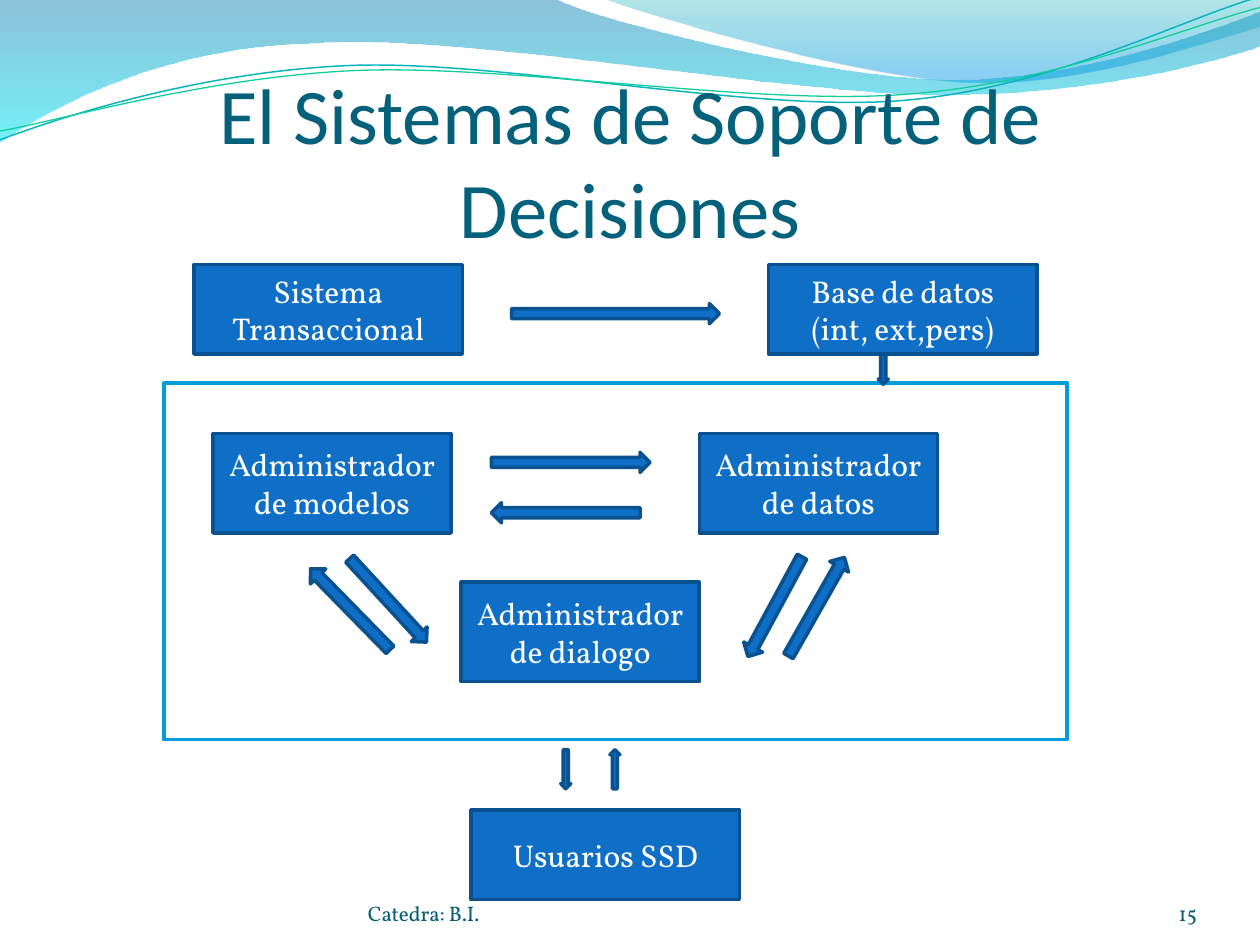
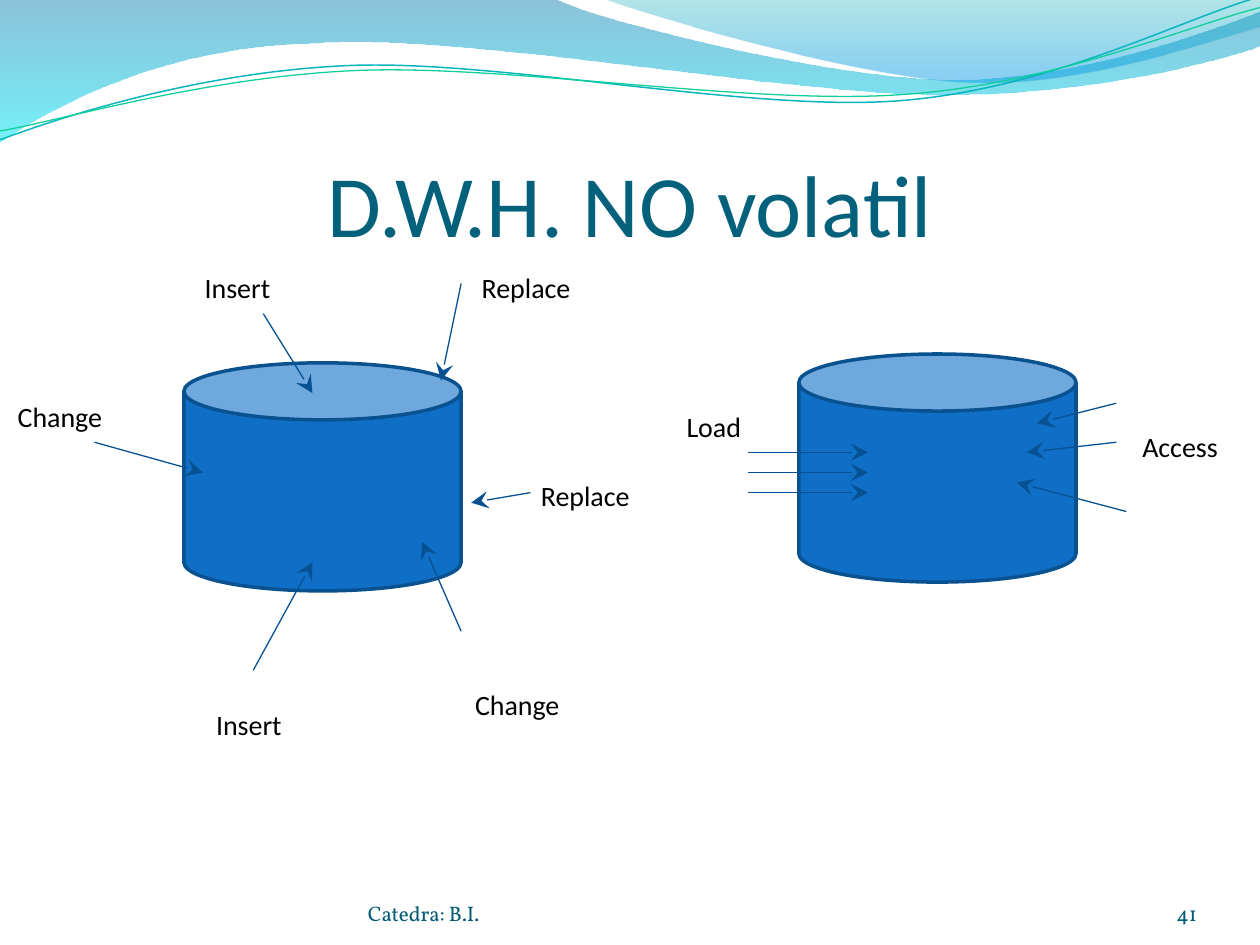
from math import cos, radians, sin

from lxml import etree
from pptx import Presentation
from pptx.dml.color import RGBColor
from pptx.enum.shapes import MSO_CONNECTOR, MSO_SHAPE
from pptx.enum.text import MSO_ANCHOR, PP_ALIGN
from pptx.oxml.ns import qn
from pptx.util import Inches, Pt

RECTANGLE, CAN = MSO_SHAPE.RECTANGLE, MSO_SHAPE.CAN
RIGHT, LEFT = MSO_SHAPE.RIGHT_ARROW, MSO_SHAPE.LEFT_ARROW
UP, DOWN = MSO_SHAPE.UP_ARROW, MSO_SHAPE.DOWN_ARROW
TOP, MIDDLE, BOTTOM = MSO_ANCHOR.TOP, MSO_ANCHOR.MIDDLE, MSO_ANCHOR.BOTTOM
ALIGN_LEFT, ALIGN_RIGHT, CENTER = PP_ALIGN.LEFT, PP_ALIGN.RIGHT, PP_ALIGN.CENTER
STRAIGHT = MSO_CONNECTOR.STRAIGHT

HEADING_FONT, BODY_FONT = "Calibri", "Vollkorn"
BLUE, DARK_BLUE, FRAME_BLUE = "0F6FC6", "0A5190", "009DD9"
TITLE_TEAL, FOOTER_TEAL, POINTER_BLUE = "04617B", "035C75", "075192"
WHITE, BLACK = "FFFFFF", "000000"
INSETS = (0.1, 0.05, 0.1, 0.05)

# Wave outlines: one point is a straight segment, three are a Bézier curve.
# Gradient stops: position %, colour, opacity %.
WAVE_BANDS = [
    ((0, 0), [[(4.4, -0.01)],
              [(4.76, 0.17), (6.64, 0.63), (7.58, 0.63)],
              [(8.53, 0.63), (9.58, 0.26), (10, 0.09)],
              [(10.01, 0.36)],
              [(9.83, 0.44), (8.7, 0.76), (7.46, 0.75)],
              [(6.22, 0.75), (3.82, 0.28), (2.57, 0.34)],
              [(1.29, 0.36), (0.46, 0.83), (-0.01, 1.13)],
              [(0, 0)]],
     [(0, "0079AD", 45), (100, "00E9F7", 55)]),
    ((4.79, -0.01), [[(5.09, 0.11), (6.82, 0.62), (7.69, 0.65)],
                     [(8.56, 0.69), (9.61, 0.32), (10, 0.21)],
                     [(10, 0)],
                     [(4.79, -0.01)]],
     [(0, "00ABB4", 30), (80, "0099E4", 45), (100, "0099E4", 45)]),
]
STRAND_TILT = -2.7
STRANDS = [
    ((0, 1.11), [[(0.48, 0.93), (1.58, 0.57), (2.77, 0.52)],
                 [(3.95, 0.47), (5.93, 0.89), (7.13, 0.8)],
                 [(8.33, 0.71), (9.38, 0.15), (9.98, -0.02)]],
     (4.99, 0.57), "09B6BE", 0.85),
    ((0, 1.04), [[(0.47, 0.96), (1.64, 0.61), (2.83, 0.56)],
                 [(4.03, 0.51), (5.97, 0.84), (7.17, 0.75)],
                 [(8.36, 0.67), (9.41, 0.21), (10, 0.06)]],
     (5, 0.59), "10CF9B", 0.75),
]


def rgb(value):
    return RGBColor.from_string(value)


def write(frame, text, *, size, color, font=HEADING_FONT, align=CENTER,
          anchor=TOP, insets=INSETS):
    """Put one formatted paragraph into a text frame."""
    frame.word_wrap = True
    frame.vertical_anchor = anchor
    (frame.margin_left, frame.margin_top,
     frame.margin_right, frame.margin_bottom) = map(Inches, insets)
    paragraph = frame.paragraphs[0]
    paragraph.alignment = align
    run = paragraph.add_run()
    run.text = text
    run.font.size = Pt(size)
    run.font.name = font
    run.font.color.rgb = rgb(color)


def add_text(slide, box, text, **text_format):
    area = slide.shapes.add_textbox(*map(Inches, box))
    write(area.text_frame, text, **text_format)


def add_figure(slide, kind, box, fill=BLUE, line=DARK_BLUE, rotation=0):
    figure = slide.shapes.add_shape(kind, *map(Inches, box))
    figure.shadow.inherit = False
    figure.fill.solid()
    figure.fill.fore_color.rgb = rgb(fill)
    figure.line.color.rgb = rgb(line)
    figure.line.width = Pt(2)
    figure.rotation = rotation
    return figure


def add_component(slide, box, text):
    component = add_figure(slide, RECTANGLE, box)
    write(component.text_frame, text, size=18, color=WHITE, font=BODY_FONT,
          anchor=MIDDLE)


def add_pointer(slide, start, end):
    """Thin line with a large stealth head at its end."""
    pointer = slide.shapes.add_connector(
        STRAIGHT, *map(Inches, (*start, *end)))
    pointer.line.color.rgb = rgb(POINTER_BLUE)
    pointer.line.width = Pt(0.75)
    etree.SubElement(pointer.line._get_or_add_ln(), qn("a:tailEnd"),
                     type="stealth", w="lg", len="lg")
    etree.SubElement(pointer._element.spPr, qn("a:effectLst"))


def turn(point, pivot, degrees):
    """Point turned clockwise about the pivot."""
    angle = radians(degrees)
    dx, dy = point[0] - pivot[0], point[1] - pivot[1]
    return (pivot[0] + dx * cos(angle) - dy * sin(angle),
            pivot[1] + dx * sin(angle) + dy * cos(angle))


def add_wave(slide, start, segments, close):
    """Freeform whose three-point segments become Bézier curves."""
    builder = slide.shapes.build_freeform(*map(Inches, start))
    builder.add_line_segments(
        [(Inches(x), Inches(y)) for segment in segments for x, y in segment],
        close)
    wave = builder.convert_to_shape()
    wave.shadow.inherit = False
    outline = wave._element.spPr.find(".//" + qn("a:path"))
    steps = iter(outline.findall(qn("a:lnTo")))
    for segment in segments:
        first, *others = [next(steps) for _ in segment]
        if others:
            first.tag = qn("a:cubicBezTo")
        for other in others:
            first.append(other[0])
            outline.remove(other)
    return wave


def add_strand(slide, start, segments, pivot, color, width):
    """Thin wave line, drawn level and then tilted about its centre."""
    level = [[turn(point, pivot, -STRAND_TILT) for point in segment]
             for segment in segments]
    strand = add_wave(slide, turn(start, pivot, -STRAND_TILT), level, close=False)
    strand.rotation = STRAND_TILT
    strand.fill.background()
    strand.line.color.rgb = rgb(color)
    strand.line.width = Pt(width)


def fill_gradient(shape, stops):
    """Top-to-bottom gradient with an opacity for each stop."""
    shape.fill.gradient()
    shape.fill.gradient_angle = 270
    stop_list = shape._element.spPr.find(".//" + qn("a:gsLst"))
    for old_stop in list(stop_list):
        stop_list.remove(old_stop)
    for position, color, opacity in stops:
        stop = etree.SubElement(stop_list, qn("a:gs"), pos=str(position * 1000))
        tint = etree.SubElement(stop, qn("a:srgbClr"), val=color)
        etree.SubElement(tint, qn("a:alpha"), val=str(opacity * 1000))


def add_themed_slide(prs, title, title_size, number):
    """Blank slide with the waves, title, footer and slide number."""
    slide = prs.slides.add_slide(prs.slide_layouts[6])
    for start, segments, stops in WAVE_BANDS:
        band = add_wave(slide, start, segments, close=True)
        fill_gradient(band, stops)
        band.line.fill.background()
    for strand in STRANDS:
        add_strand(slide, *strand)
    add_text(slide, (0.5, 0.77, 9, 1.25), title, size=title_size,
             color=TITLE_TEAL, anchor=BOTTOM, insets=(0, 0.05, 0, 0))
    footer = dict(size=12, color=FOOTER_TEAL, font=BODY_FONT, anchor=BOTTOM,
                  insets=(0, 0, 0, 0))
    add_text(slide, (2.92, 6.95, 3.67, 0.4), "Catedra: B.I.",
             align=ALIGN_LEFT, **footer)
    add_text(slide, (8.67, 6.95, 0.83, 0.4), number,
             align=ALIGN_RIGHT, **footer)
    return slide


def build_decision_support(prs):
    slide = add_themed_slide(prs, "El Sistemas de Soporte de Decisiones", 45, "15")
    add_figure(slide, RECTANGLE, (1.3, 3.04, 7.17, 2.83), WHITE, FRAME_BLUE)

    outside, manager = (2.13, 0.71), (1.89, 0.79)
    for left, top, size, text in [
            (1.54, 2.1, outside, "Sistema Transaccional"),
            (6.1, 2.1, outside, "Base de datos (int, ext,pers)"),
            (1.69, 3.44, manager, "Administrador de modelos"),
            (5.55, 3.44, manager, "Administrador de datos"),
            (3.66, 4.62, manager, "Administrador de dialogo"),
            (3.74, 6.43, outside, "Usuarios SSD")]:
        add_component(slide, (left, top, *size), text)

    for kind, box in [
            (RIGHT, (4.06, 2.41, 1.65, 0.16)),
            (DOWN, (6.97, 2.81, 0.08, 0.24)),
            (RIGHT, (3.9, 3.59, 1.26, 0.16)),
            (LEFT, (3.9, 3.99, 1.18, 0.16)),
            (DOWN, (4.45, 5.95, 0.08, 0.31)),
            (UP, (4.84, 5.95, 0.08, 0.31))]:
        add_figure(slide, kind, box)

    for left, top, rotation in [(2.33, 4.75, 225.6), (2.63, 4.68, 47.4),
                                (5.7, 4.73, 118.4), (6.03, 4.73, 299.6)]:
        add_figure(slide, RIGHT, (left, top, 0.9, 0.17), rotation=rotation)


def build_non_volatile(prs):
    slide = add_themed_slide(prs, "D.W.H. NO volatil", 50, "41")
    for left, top in [(1.46, 2.88), (6.34, 2.81)]:
        add_figure(slide, CAN, (left, top, 2.2, 1.81))

    updates = [((2.09, 2.49), (2.48, 3.12)), ((3.66, 2.25), (3.5, 3.02)),
               ((2.01, 5.32), (2.48, 4.46)), ((0.75, 3.51), (1.61, 3.75)),
               ((3.66, 5.01), (3.35, 4.3)), ((4.21, 3.91), (3.74, 3.99))]
    loads = [((5.94, y), (6.89, y)) for y in (3.59, 3.75, 3.91)]
    accesses = [((8.86, 3.2), (8.23, 3.36)), ((8.86, 3.51), (8.15, 3.59)),
                ((8.94, 4.06), (8.07, 3.83))]
    for start, end in updates + loads + accesses:
        add_pointer(slide, start, end)

    for left, top, operation in [
            (1.06, 2.1, "Insert"), (1.15, 5.57, "Insert"),
            (-0.35, 3.12, "Change"), (3.28, 5.41, "Change"),
            (3.35, 2.1, "Replace"), (3.82, 3.75, "Replace"),
            (4.84, 3.2, "Load"), (8.54, 3.36, "Access")]:
        add_text(slide, (left, top, 1.65, 0.37), operation, size=16, color=BLACK)


def main():
    prs = Presentation()
    prs.slide_width, prs.slide_height = Inches(10), Inches(7.5)
    build_decision_support(prs)
    build_non_volatile(prs)
    prs.save("out.pptx")


if __name__ == "__main__":
    main()
